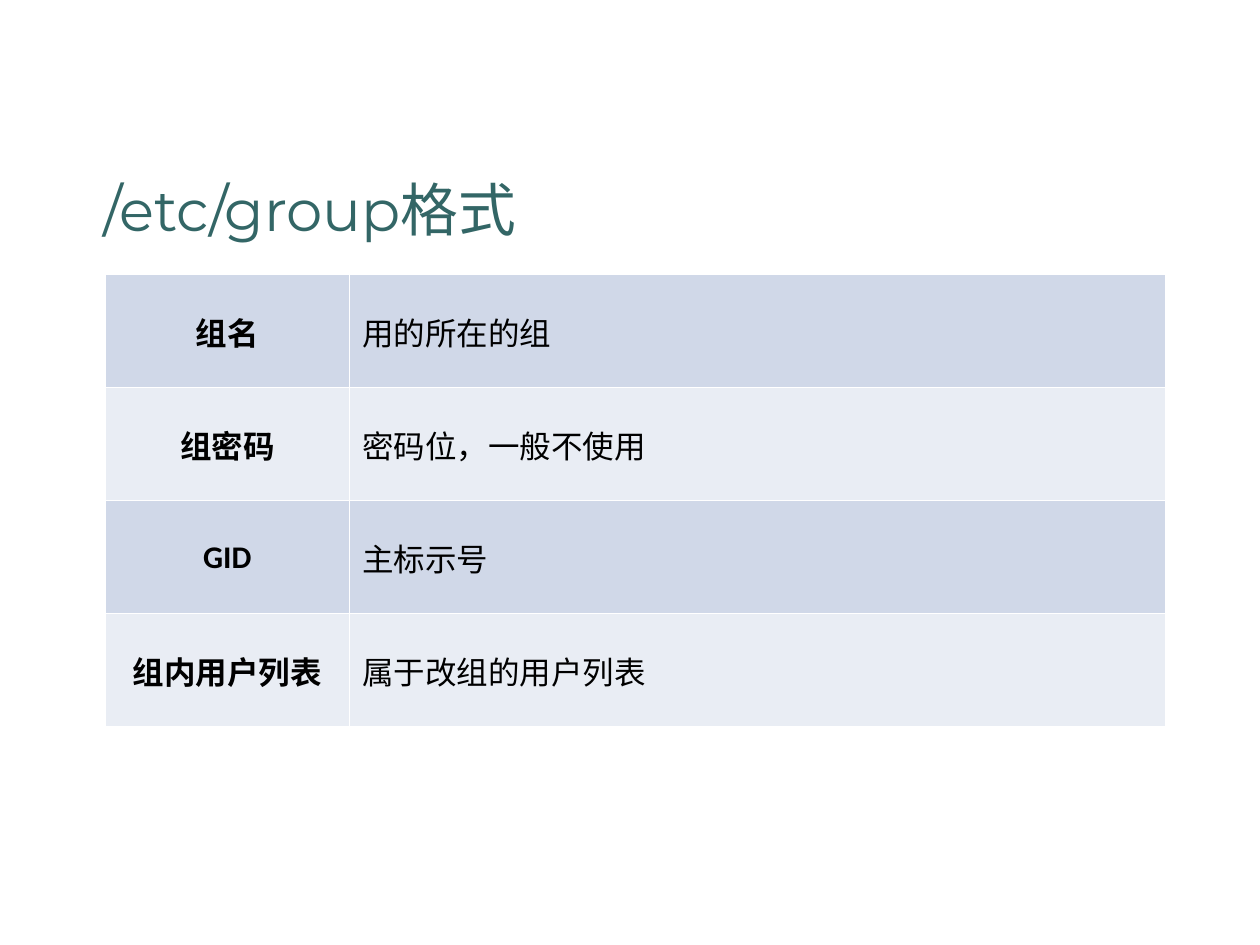
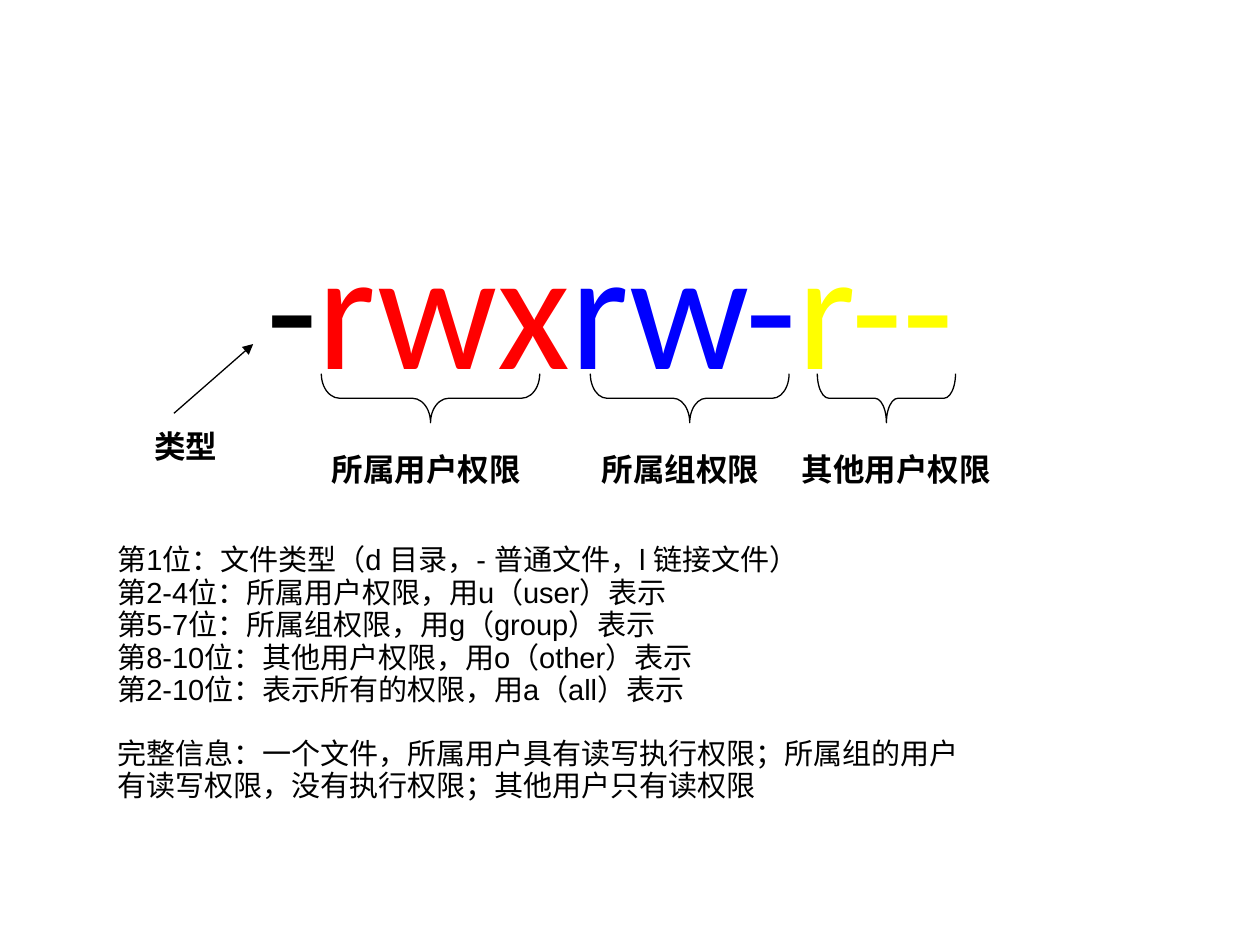
import pptx
import pptx.dml.color
import pptx.enum.shapes
import pptx.enum.text
import pptx.oxml
import pptx.oxml.ns
import pptx.util
from lxml import etree

Pt = pptx.util.Pt
RGB = pptx.dml.color.RGBColor
Align = pptx.enum.text.PP_ALIGN
Anchor = pptx.enum.text.MSO_ANCHOR
qn = pptx.oxml.ns.qn

TEAL = RGB(0x33, 0x66, 0x66)
BLACK = RGB(0, 0, 0)
WHITE = RGB(0xFF, 0xFF, 0xFF)
RED = RGB(0xFF, 0, 0)
BLUE = RGB(0, 0, 0xFF)
YELLOW = RGB(0xFF, 0xFF, 0)
BANDS = (RGB(0xD0, 0xD8, 0xE8), RGB(0xE9, 0xED, 0xF4))

FIELDS = [
    ("组名", "用的所在的组"),
    ("组密码", "密码位，一般不使用"),
    ("GID", "主标示号"),
    ("组内用户列表", "属于改组的用户列表"),
]
MODE = [("-", BLACK), ("rwx", RED), ("rw-", BLUE), ("r--", YELLOW)]
# brace left, brace width, label left, label width, label
GROUPS = [
    (123.6, 124.8, 107, 153.4, "所属用户权限"),
    (277.3, 113.6, 266.2, 125.3, "所属组权限"),
    (407, 79, 390.7, 123.1, "其他用户权限"),
]
NOTES = [
    "第1位：文件类型（d 目录，- 普通文件，l 链接文件）",
    "第2-4位：所属用户权限，用u（user）表示",
    "第5-7位：所属组权限，用g（group）表示",
    "第8-10位：其他用户权限，用o（other）表示",
    "第2-10位：表示所有的权限，用a（all）表示",
]
SUMMARY = [
    "完整信息：一个文件，所属用户具有读写执行权限；所属组的用户",
    "有读写权限，没有执行权限；其他用户只有读权限",
]


def style(para, font, size, color=None, bold=False, align=Align.LEFT):
    para.alignment = align
    para.font.name = font
    para.font.size = Pt(size)
    para.font.bold = bold
    if color is not None:
        para.font.color.rgb = color


def frame(slide, box, wrap=True):
    """Add a text box and return its text frame."""
    text = slide.shapes.add_textbox(*map(Pt, box)).text_frame
    text.word_wrap = wrap
    return text


def title(slide, box, words):
    text = frame(slide, box)
    text.vertical_anchor = Anchor.BOTTOM
    text.margin_left = Pt(5.4)
    text.margin_bottom = Pt(0)
    para = text.paragraphs[0]
    para.text = words
    style(para, "Montserrat", 33, TEAL)


def edge(cell):
    """Draw thin white borders on all sides of a cell."""
    props = cell._tc.get_or_add_tcPr()
    for at, side in enumerate(("lnL", "lnR", "lnT", "lnB")):
        line = etree.Element(qn("a:" + side), w=str(Pt(0.45)))
        fill = etree.SubElement(line, qn("a:solidFill"))
        etree.SubElement(fill, qn("a:srgbClr"), val=str(WHITE))
        props.insert(at, line)


def grid(slide, box, rows):
    left, top, width, height = box
    table = slide.shapes.add_table(len(rows), 2, *map(Pt, box)).table
    table.first_row = table.horz_banding = False
    first = 139.8
    table.columns[0].width = Pt(first)
    table.columns[1].width = Pt(width - first)
    for r, row in enumerate(rows):
        table.rows[r].height = Pt(height / len(rows))
        for c, words in enumerate(row):
            cell = table.cell(r, c)
            cell.fill.solid()
            cell.fill.fore_color.rgb = BANDS[r % 2]
            cell.vertical_anchor = Anchor.MIDDLE
            edge(cell)
            para = cell.text_frame.paragraphs[0]
            para.text = words
            para.space_before = Pt(4.5)
            style(para, "Calibri", 18, BLACK, c == 0,
                  Align.LEFT if c else Align.CENTER)


def label(slide, box, words):
    para = frame(slide, box, False).paragraphs[0]
    para.text = words
    style(para, "Calibri", 18, BLACK, True, Align.CENTER)


def brace(slide, box):
    """Place a brace that points down and fills the box."""
    left, top, width, depth = box
    shift = (width - depth) / 2
    shape = slide.shapes.add_shape(
        pptx.enum.shapes.MSO_SHAPE.RIGHT_BRACE,
        Pt(left + shift), Pt(top - shift), Pt(depth), Pt(width))
    shape.rotation = 90
    shape.adjustments[0] = width / 12 / depth
    shape.shadow.inherit = False
    shape.fill.solid()
    shape.fill.fore_color.rgb = WHITE
    shape.line.color.rgb = BLACK
    shape.line.width = Pt(0.75)


def arrow(slide, x1, y1, x2, y2):
    line = slide.shapes.add_connector(
        pptx.enum.shapes.MSO_CONNECTOR.STRAIGHT, *map(Pt, (x1, y1, x2, y2)))
    line.line.color.rgb = BLACK
    line.line.width = Pt(0.75)
    etree.SubElement(line.line._get_or_add_ln(), qn("a:tailEnd"),
                     type="triangle")
    etree.SubElement(line._element.spPr, qn("a:effectLst"))


def mode(slide, box):
    """Show the mode string with its parts named."""
    left, top, width, height = box
    para = frame(slide, (left + 45, top + 1.6, 487.4, 122.4)).paragraphs[0]
    style(para, "Calibri", 96, align=Align.CENTER)
    for words, color in MODE:
        run = para.add_run()
        run.text = words
        run.font.color.rgb = color
    for x, span, start, wide, words in GROUPS:
        brace(slide, (left + x, top + 103.6, span, 28))
        label(slide, (left + start, top + 143.4, wide, 28.8), words)
    arrow(slide, left + 39.4, top + 126.2, left + 84.7, top + 86.6)
    label(slide, (left + 1.9, top + 130.5, 88.6, 28.8), "类型")


def notes(slide, box):
    text = frame(slide, box)
    text.margin_top = Pt(154)
    for at, words in enumerate(NOTES + SUMMARY):
        para = text.add_paragraph() if at else text.paragraphs[0]
        para.text = words
        para.line_spacing = Pt(18.5)
        para.space_before = Pt(18 if at == len(NOTES) else 0)
        style(para, "Arial", 16.6, BLACK)


def main():
    deck = pptx.Presentation()
    deck.slide_width, deck.slide_height = Pt(720), Pt(540)
    blank = deck.slide_layouts[6]

    slide = deck.slides.add_slide(blank)
    title(slide, (54, 26, 606, 113), "/etc/group格式")
    grid(slide, (60, 157, 606, 258.4), FIELDS)

    slide = deck.slides.add_slide(blank)
    notes(slide, (60, 157, 606, 322.6))
    mode(slide, (60, 110, 533, 175))

    deck.save("out.pptx")


if __name__ == "__main__":
    main()
